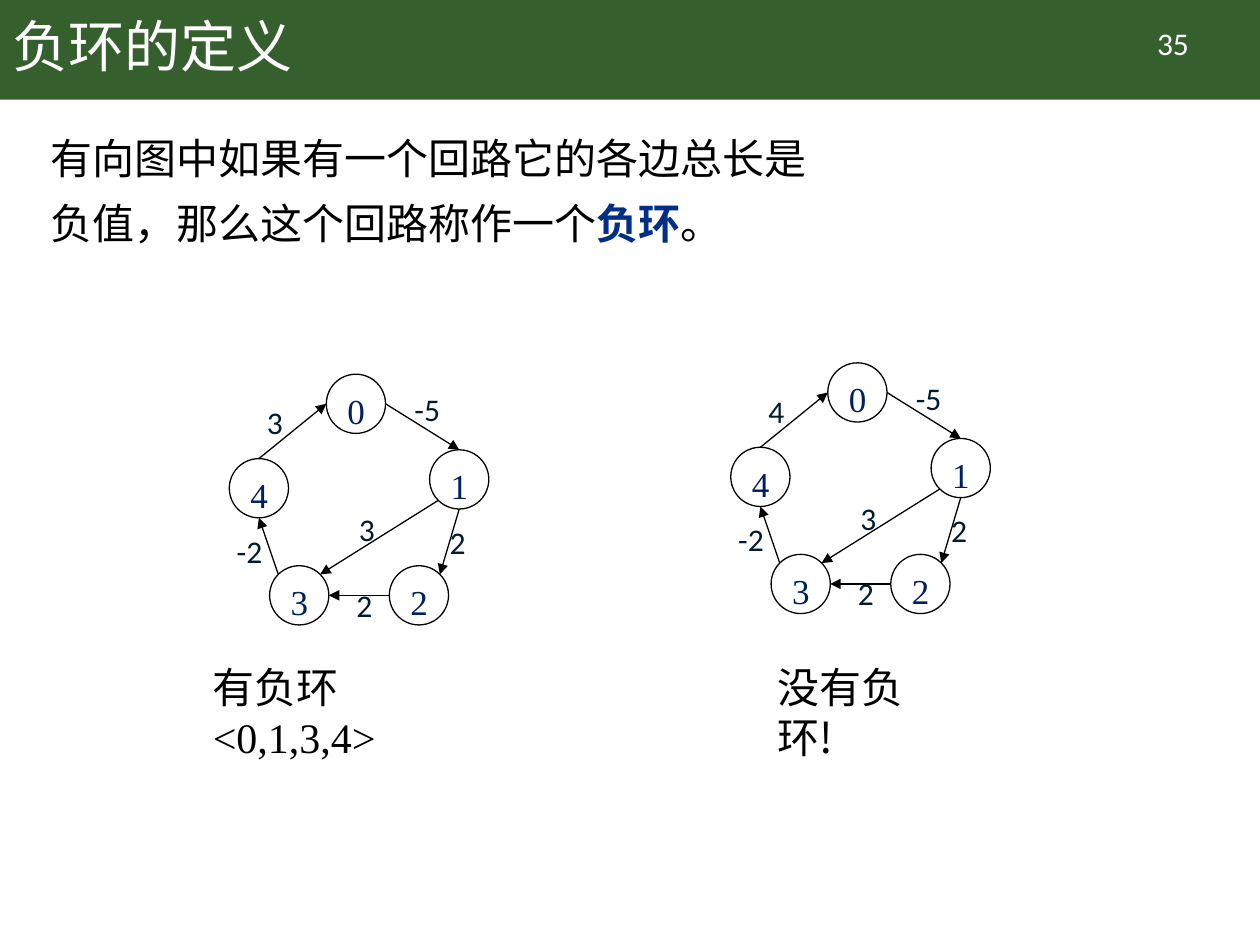
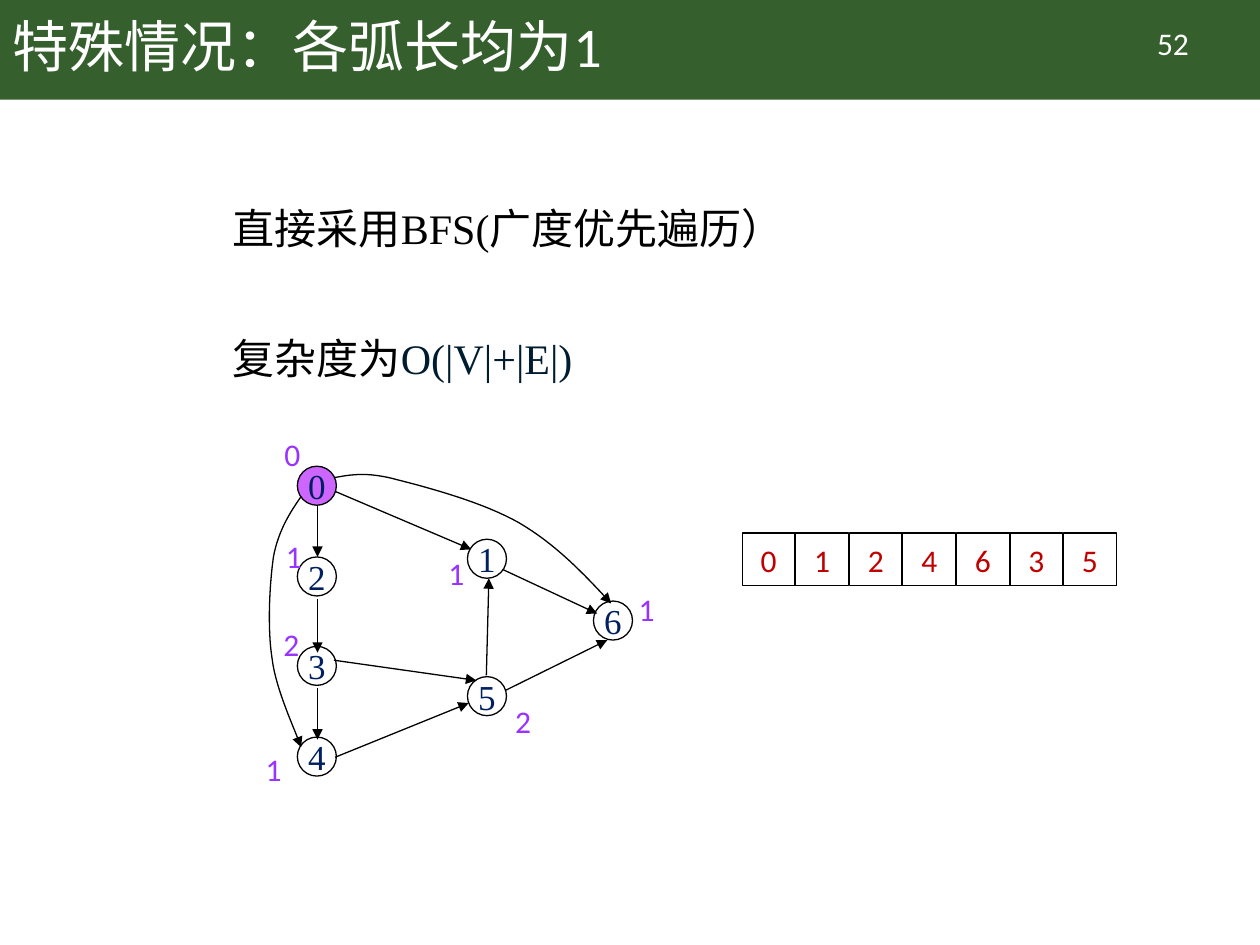
from lxml import etree
from pptx import Presentation
from pptx.dml.color import RGBColor
from pptx.enum import shapes, text
from pptx.oxml.ns import qn
from pptx.util import Inches, Pt

BLACK = RGBColor(0x00, 0x00, 0x00)
WHITE = RGBColor(0xFF, 0xFF, 0xFF)
GREEN = RGBColor(0x36, 0x5F, 0x2E)
BLUE = RGBColor(0x00, 0x2E, 0x89)
NAVY = RGBColor(0x00, 0x20, 0x60)
INK = RGBColor(0x00, 0x1C, 0x30)
RED = RGBColor(0xC0, 0x00, 0x00)
PURPLE = RGBColor(0x99, 0x33, 0xFF)
ORCHID = RGBColor(0xCC, 0x66, 0xFF)

SANS, SERIF, CJK = "Calibri", "Times New Roman", "Noto Sans CJK SC"
CENTER, LEFT = text.PP_ALIGN.CENTER, text.PP_ALIGN.LEFT
TOP, MIDDLE = text.MSO_ANCHOR.TOP, text.MSO_ANCHOR.MIDDLE

# A paragraph is a list of runs: (text, colour, bold), None keeping the paragraph's own
DEFINITION = [[
    ("有向图中如果有一个回路它的各边总长是\v负值，那么这个回路称作一个", None, None),
    ("负环", BLUE, True), ("。", None, None)]]
BFS_NOTES = [
    [("直接采用BFS(广度优先遍历）", None, None)],
    [("复杂度为", None, None), ("O(|V|+|E|)", INK, None)]]

# Ring graph: node corners and label corners relative to the graph's corner
RING_SIZE = 0.47
RING_NODES = {"0": (0.77, 0), "4": (0, 0.67), "2": (1.27, 1.52),
              "3": (0.32, 1.52), "1": (1.59, 0.6)}
RING_EDGES = [  # from node, side, to node, side, label corner
    ("4", "top", "0", "left", (0.2, 0.18)),
    ("0", "right", "1", "top", (1.37, 0.08)),
    ("1", "bottom left", "3", "top right", (0.93, 1.03)),
    ("3", "top left", "4", "bottom", (-0.04, 1.2)),
    ("1", "bottom", "2", "top right", (1.65, 1.13)),
    ("2", "left", "3", "right", (0.91, 1.63))]
RINGS = [  # corner, edge weights, caption, caption box, caption font
    ((1.82, 2.97), ["3", "-5", "3", "-2", "2", "2"],
     "有负环\v<0,1,3,4>", (1.59, 5.2, 2.52, 0.5), SERIF),
    ((5.8, 2.88), ["4", "-5", "3", "-2", "2", "2"],
     "没有负\v环!", (6.07, 5.2, 1.72, 0.5), CJK)]

# BFS graph: node corner, distance and corner of the distance label
BFS_SIZE = 0.31
BFS_NODES = {
    "5": ((3.71, 5.37), "2", (3.99, 5.52)),
    "1": ((3.71, 4.28), "1", (3.46, 4.35)),
    "6": ((4.71, 4.77), "1", (4.97, 4.63)),
    "4": ((2.36, 5.85), "1", (2.01, 5.9)),
    "3": ((2.36, 5.13), "2", (2.15, 4.91)),
    "2": ((2.36, 4.42), "1", (2.17, 4.21)),
    "0": ((2.36, 3.7), "0", (2.16, 3.4))}
BFS_START = "0"
BFS_EDGES = [
    ((2.52, 4.02), (2.52, 4.42)), ((2.52, 4.75), (2.52, 5.18)),
    ((2.52, 5.46), (2.52, 5.87)), ((2.66, 3.9), (3.74, 4.36)),
    ((3.99, 4.52), (4.74, 4.87)), ((2.66, 6.01), (3.72, 5.58)),
    ((4.01, 5.48), (4.82, 5.08)), ((3.86, 5.36), (3.88, 4.59)),
    ((2.65, 5.24), (3.78, 5.4))]
BFS_CURVES = [  # start, then two handles and an end for each cubic piece
    [(2.39, 3.94), (2.3, 4.07), (2.21, 4.21), (2.17, 4.42), (2.14, 4.64),
     (2.12, 4.98), (2.16, 5.23), (2.19, 5.48), (2.35, 5.81), (2.39, 5.93)],
    [(2.66, 3.79), (2.78, 3.77), (2.91, 3.74), (3.16, 3.81), (3.4, 3.87),
     (3.84, 3.99), (4.12, 4.15), (4.41, 4.32), (4.63, 4.55), (4.85, 4.79)]]
QUEUE = ["0", "1", "2", "4", "6", "3", "5"]
QUEUE_LEFT, QUEUE_LAST, QUEUE_TOP, QUEUE_CELL = 5.89, 8.44, 4.23, 0.42
CURVE_STEPS = 16


def inches(values):
    return [Inches(value) for value in values]


def set_font(paragraph, size, color, name):
    """Set size, colour, Latin font and the East Asian font of a paragraph."""
    font = paragraph.font
    font.size, font.name = Pt(size), name
    font.color.rgb = color
    etree.SubElement(font._rPr, qn("a:ea")).set("typeface", CJK)


def write(frame, content, size, color, name, align=LEFT, anchor=TOP,
          spacing=None, wrap=True, gap=0):
    """Fill a frame with a string or a list of paragraphs, gap points apart."""
    frame.word_wrap, frame.vertical_anchor = wrap, anchor
    if isinstance(content, str):
        content = [[(content, None, None)]]
    for index, runs in enumerate(content):
        paragraph = frame.add_paragraph() if index else frame.paragraphs[0]
        paragraph.alignment = align
        if spacing:
            paragraph.line_spacing = spacing
        if index:
            paragraph.space_before = Pt(gap)
        set_font(paragraph, size, color, name)
        for words, run_color, bold in runs:
            for line_index, line in enumerate(words.split("\v")):
                if line_index:
                    paragraph.add_line_break()
                run = paragraph.add_run()
                run.text, run.font.bold = line, bold
                if run_color is not None:
                    run.font.color.rgb = run_color


def add_text(parent, box, content, size, color, name, **layout):
    frame = parent.add_textbox(*inches(box)).text_frame
    write(frame, content, size, color, name, **layout)


def add_outlined(parent, kind, box, fill=None):
    shape = parent.add_shape(kind, *inches(box))
    shape.shadow.inherit = False
    outline(shape)
    if fill is None:
        shape.fill.background()
    else:
        shape.fill.solid()
        shape.fill.fore_color.rgb = fill
    return shape


def outline(shape):
    shape.line.color.rgb, shape.line.width = BLACK, Pt(0.75)


def add_node(parent, corner, size, label, fill=None, **layout):
    node = add_outlined(parent, shapes.MSO_SHAPE.OVAL, (*corner, size, size), fill)
    write(node.text_frame, label, 20, NAVY, SERIF, align=CENTER, **layout)


def add_arrowhead(shape):
    etree.SubElement(shape.line._get_or_add_ln(), qn("a:tailEnd")).set("type", "triangle")


def add_arrow(parent, start, end):
    arrow = parent.add_connector(shapes.MSO_CONNECTOR.STRAIGHT, *inches((*start, *end)))
    outline(arrow)
    add_arrowhead(arrow)
    etree.SubElement(arrow._element.spPr, qn("a:effectLst"))


def curve_points(controls):
    """Sample a chain of cubic Bézier pieces, leaving out its first point."""
    for first in range(0, len(controls) - 1, 3):
        a, b, c, d = controls[first:first + 4]
        for step in range(1, CURVE_STEPS + 1):
            t = step / CURVE_STEPS
            weights = (1 - t) ** 3, 3 * t * (1 - t) ** 2, 3 * t * t * (1 - t), t ** 3
            yield [sum(w * p[axis] for w, p in zip(weights, (a, b, c, d)))
                   for axis in (0, 1)]


def add_curved_arrow(parent, controls):
    builder = parent.build_freeform(*inches(controls[0]))
    builder.add_line_segments([inches(point) for point in curve_points(controls)], close=False)
    curve = builder.convert_to_shape()
    curve.shadow.inherit = False
    curve.fill.background()
    outline(curve)
    add_arrowhead(curve)


def side_point(corner, side):
    """Return the point of a ring node's outline named by side."""
    dx = ("right" in side) - ("left" in side)
    dy = ("bottom" in side) - ("top" in side)
    reach = RING_SIZE / 2 / (dx * dx + dy * dy) ** 0.5
    return (corner[0] + RING_SIZE / 2 + dx * reach,
            corner[1] + RING_SIZE / 2 + dy * reach)


def add_ring(parent, origin, weights):
    def place(offset):
        return origin[0] + offset[0], origin[1] + offset[1]

    ring = parent.add_group_shape().shapes
    for label, offset in RING_NODES.items():
        add_node(ring, place(offset), RING_SIZE, label)
    for (source, source_side, target, target_side, label), weight in zip(RING_EDGES, weights):
        add_arrow(ring, side_point(place(RING_NODES[source]), source_side),
                  side_point(place(RING_NODES[target]), target_side))
        add_text(ring, (*place(label), 0.68, 0.4), weight, 18, INK, SANS)


def add_band(layout, slide):
    """Draw the title band and move it to the back of the shared layout."""
    band = slide.shapes.add_shape(shapes.MSO_SHAPE.RECTANGLE, *inches((0, 0, 10, 0.79)))
    band.shadow.inherit = False
    band.fill.solid()
    band.fill.fore_color.rgb = GREEN
    band.line.fill.background()
    band._element.nvSpPr.cNvPr.set("id", "20")
    layout.shapes._spTree.insert(2, band._element)


def add_slide(deck, layout, heading, number):
    slide = deck.slides.add_slide(layout)
    title = slide.shapes.title
    title.left, title.top, title.width, title.height = inches((0, 0, 8.62, 0.79))
    write(title.text_frame, heading, 32, WHITE, SANS, anchor=MIDDLE, spacing=0.9)
    add_text(slide.shapes, (8.71, 0.14, 1.2, 0.4), number, 18, WHITE, SANS, align=CENTER)
    return slide


def fill_negative_cycle(parent):
    add_text(parent, (0.3, 0.88, 9.49, 1.3), DEFINITION, 24, BLACK, CJK, spacing=1.3)
    for origin, weights, caption, box, font in RINGS:
        add_ring(parent, origin, weights)
        add_text(parent, box, caption, 24, BLACK, font)


def fill_unit_arcs(parent):
    for label, (corner, distance, distance_corner) in BFS_NODES.items():
        add_node(parent, corner, BFS_SIZE, label, ORCHID if label == BFS_START else None,
                 anchor=MIDDLE, wrap=False)
        add_text(parent, (*distance_corner, 0.34, 0.4), distance, 18, PURPLE, SANS)
    for start, end in BFS_EDGES:
        add_arrow(parent, start, end)
    for controls in BFS_CURVES:
        add_curved_arrow(parent, controls)
    add_text(parent, (1.75, 1.44, 7.14, 1.63), BFS_NOTES, 24, BLACK, SERIF,
             spacing=1.3, gap=37)
    step = (QUEUE_LAST - QUEUE_LEFT) / (len(QUEUE) - 1)
    for index, visited in enumerate(QUEUE):
        cell = add_outlined(parent, shapes.MSO_SHAPE.RECTANGLE,
                            (QUEUE_LEFT + index * step, QUEUE_TOP, QUEUE_CELL, QUEUE_CELL))
        write(cell.text_frame, visited, 18, RED, SANS, align=CENTER, anchor=MIDDLE)


def main():
    deck = Presentation()
    deck.slide_width, deck.slide_height = Inches(10), Inches(7.5)
    layout = deck.slide_layouts[5]
    cycle_slide = add_slide(deck, layout, "负环的定义", "35")
    add_band(layout, cycle_slide)
    fill_negative_cycle(cycle_slide.shapes)
    arcs_slide = add_slide(deck, layout, "特殊情况：各弧长均为1", "52")
    fill_unit_arcs(arcs_slide.shapes)
    deck.save("out.pptx")


if __name__ == "__main__":
    main()
